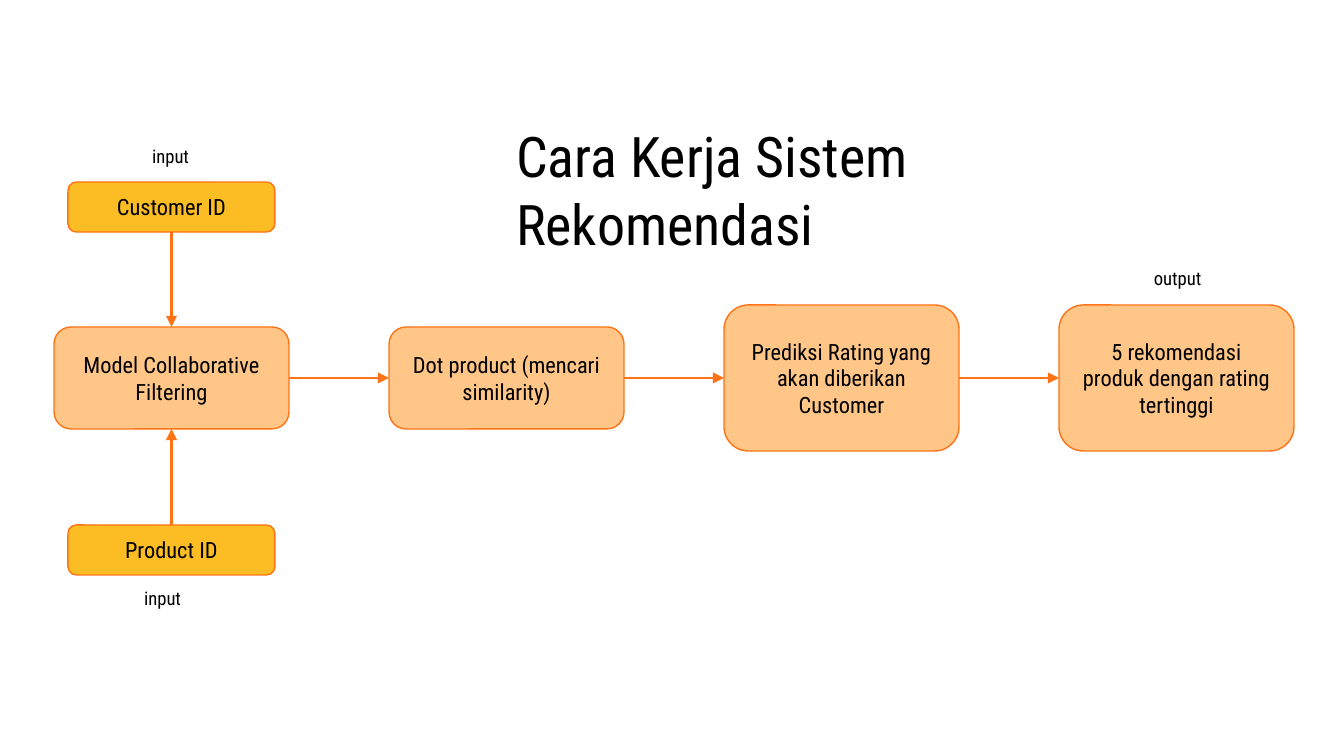
from typing import NamedTuple

from lxml.etree import SubElement
from pptx import Presentation
from pptx.dml.color import RGBColor
from pptx.enum.shapes import MSO_CONNECTOR, MSO_SHAPE
from pptx.enum.text import MSO_ANCHOR, MSO_AUTO_SIZE, PP_ALIGN
from pptx.oxml.ns import qn
from pptx.util import Emu, Pt

PX = 914400 / 134.4
ORANGE, AMBER, PEACH, BLACK = "FE7316", "FCBD24", "FFC687", "000000"
TOP, LEFT, BOTTOM, RIGHT = range(4)
MID_Y, PITCH = 378, 335


class Box(NamedTuple):
    text: str
    x: int
    y: int
    w: int
    h: int
    fill: str


class Label(NamedTuple):
    text: str
    x: int
    y: int
    w: int
    h: int
    size: int = 10
    align: PP_ALIGN = PP_ALIGN.CENTER
    fit: MSO_AUTO_SIZE = MSO_AUTO_SIZE.NONE


def px(n: int) -> Emu:
    return Emu(round(n * PX))


def color(value: str) -> RGBColor:
    return RGBColor.from_string(value)


def write(tf, text: str, size: int, align, anchor, fit) -> None:
    frame_format = {"word_wrap": True, "auto_size": fit, "vertical_anchor": anchor}
    frame_format |= {f"margin_{side}": px(13) for side in ("left", "top", "right", "bottom")}
    for name, value in frame_format.items():
        setattr(tf, name, value)
    p = tf.paragraphs[0]
    p.alignment = align
    r = p.add_run()
    for name, value in {"text": text}.items():
        setattr(r, name, value)
    for name, value in {"name": "Roboto Condensed", "size": Pt(size)}.items():
        setattr(r.font, name, value)
    r.font.color.rgb = color(BLACK)


def add_box(s, box: Box):
    sp = s.shapes.add_shape(MSO_SHAPE.ROUNDED_RECTANGLE, *map(px, box[1:5]))
    sp.shadow.inherit = False
    sp.fill.solid()
    sp.fill.fore_color.rgb = color(box.fill)
    sp.line.color.rgb = color(ORANGE)
    sp.line.width = Pt(0.75)
    write(sp.text_frame, box.text, 12, PP_ALIGN.CENTER, MSO_ANCHOR.MIDDLE, MSO_AUTO_SIZE.NONE)
    return sp


def add_label(s, label: Label) -> None:
    sp = s.shapes.add_textbox(*map(px, label[1:5]))
    write(sp.text_frame, label.text, label.size, label.align, MSO_ANCHOR.TOP, label.fit)


def add_arrow(s, start, start_side: int, end, end_side: int) -> None:
    cxn = s.shapes.add_connector(MSO_CONNECTOR.STRAIGHT, 0, 0, 0, 0)
    cxn.begin_connect(start, start_side)
    cxn.end_connect(end, end_side)
    cxn.line.color.rgb = color(ORANGE)
    cxn.line.width = Pt(1.5)
    SubElement(cxn.line._get_or_add_ln(), qn("a:tailEnd"), type="triangle")
    SubElement(cxn._element.spPr, qn("a:effectLst"))


def main() -> None:
    prs = Presentation()
    prs.slide_width, prs.slide_height = px(1344), px(756)
    s = prs.slides.add_slide(prs.slide_layouts[6])

    customer, product = [
        add_box(s, Box(text, 68, y, 207, 50, AMBER))
        for text, y in (("Customer ID", 182), ("Product ID", 525))
    ]
    steps = [
        add_box(s, Box(text, 54 + i * PITCH, MID_Y - h // 2, 235, h, PEACH))
        for i, (text, h) in enumerate((
            ("Model Collaborative Filtering", 102),
            ("Dot product (mencari similarity)", 102),
            ("Prediksi Rating yang akan diberikan Customer", 146),
            ("5 rekomendasi produk dengan rating tertinggi", 146),
        ))
    ]

    add_arrow(s, customer, BOTTOM, steps[0], TOP)
    add_arrow(s, product, TOP, steps[0], BOTTOM)
    for start, end in zip(steps, steps[1:]):
        add_arrow(s, start, RIGHT, end, LEFT)

    for label in (
        Label("input", 130, 132, 81, 50),
        Label("input", 122, 574, 81, 50),
        Label("output", 1137, 254, 81, 50),
        Label("Cara Kerja Sistem Rekomendasi", 503, 109, 715, 95, 30,
              PP_ALIGN.LEFT, MSO_AUTO_SIZE.SHAPE_TO_FIT_TEXT),
    ):
        add_label(s, label)

    prs.save("out.pptx")


if __name__ == "__main__":
    main()
